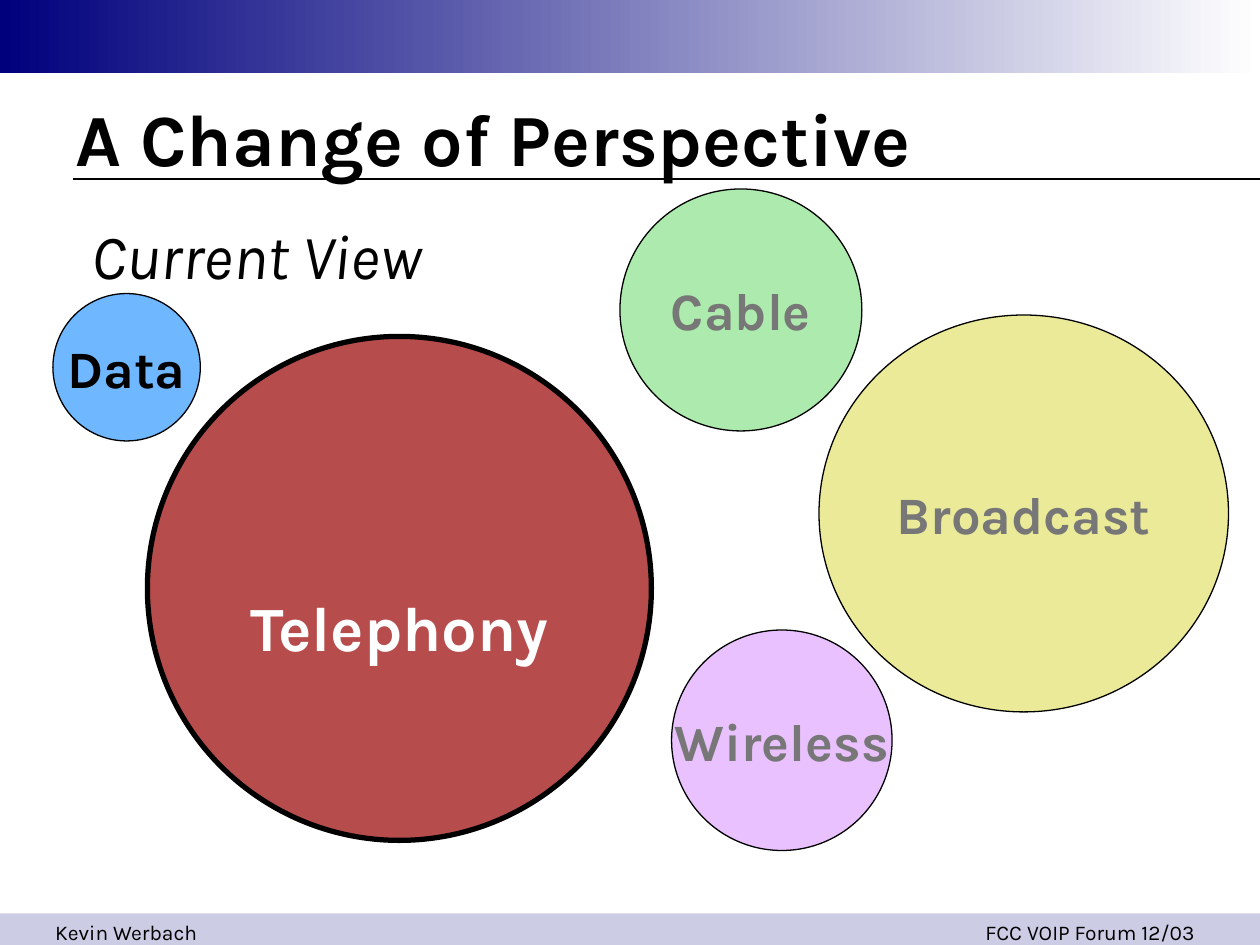
import pptx
import pptx.util
import pptx.dml.color
import pptx.enum.shapes
import pptx.enum.text
import pptx.oxml
import pptx.oxml.ns
import lxml.etree

Inches = pptx.util.Inches
Pt = pptx.util.Pt
SHAPE = pptx.enum.shapes.MSO_SHAPE
ALIGN = pptx.enum.text.PP_ALIGN
ANCHOR = pptx.enum.text.MSO_ANCHOR
qn = pptx.oxml.ns.qn

FONT = "Karla"
NAVY, BLACK, WHITE, GRAY = "00007D", "000000", "FFFFFF", "777777"


def rgb(color):
    return pptx.dml.color.RGBColor.from_string(color)


def add_run(p, text, size, color=BLACK, bold=False, italic=False):
    r = p.add_run()
    r.text = text
    r.font.name = FONT
    r.font.size = Pt(size)
    r.font.bold = bold
    r.font.italic = italic
    r.font.color.rgb = rgb(color)


def fill_solid(sp, color, opacity):
    """Fill a shape with a colour at an opacity in percent."""
    sp.fill.solid()
    sp.fill.fore_color.rgb = rgb(color)
    clr = sp.fill._xPr.find(".//" + qn("a:srgbClr"))
    lxml.etree.SubElement(clr, qn("a:alpha"), val=str(opacity * 1000))


def add_band(s, box):
    sp = s.shapes.add_shape(SHAPE.RECTANGLE, *map(Inches, box))
    sp.shadow.inherit = False
    sp.line.fill.background()
    return sp


def add_label(s, box, text, size, align, wrap=False, italic=False):
    tf = s.shapes.add_textbox(*map(Inches, box)).text_frame
    tf.word_wrap = wrap
    p = tf.paragraphs[0]
    p.alignment = align
    add_run(p, text, size, italic=italic)


def add_header(s, box):
    """Gradient band across the top."""
    sp = add_band(s, box)
    sp.fill.gradient()
    sp.fill.gradient_angle = 0
    for stop, color in zip(sp.fill.gradient_stops, (NAVY, WHITE)):
        stop.color.rgb = rgb(color)


def add_footer(s, box):
    """Pale band with the speaker on the left and the event on the right."""
    left, top, width, height = box
    fill_solid(add_band(s, box), NAVY, 20)
    add_label(s, (left + width - 3.17, top, 2.75, 0.3),
              "FCC VOIP Forum 12/03", 12, ALIGN.RIGHT, wrap=True)
    add_label(s, (left + 0.34, top, 1.37, 0.3),
              "Kevin Werbach", 12, ALIGN.LEFT)


def add_title(s, box, text):
    """Title with a rule running to the right edge of the slide."""
    left, top, width, height = box
    sp = s.shapes.title
    sp.left, sp.top, sp.width, sp.height = map(Inches, box)
    tf = sp.text_frame
    tf.word_wrap = True
    tf.auto_size = pptx.enum.text.MSO_AUTO_SIZE.NONE
    tf.vertical_anchor = ANCHOR.MIDDLE
    p = tf.paragraphs[0]
    p.alignment = ALIGN.LEFT
    add_run(p, text, 42, bold=True)

    y = Inches(top + 0.75)
    rule = s.shapes.add_connector(pptx.enum.shapes.MSO_CONNECTOR.STRAIGHT,
                                  Inches(left + 0.08), y, Inches(10), y)
    rule.line.color.rgb = rgb(BLACK)
    rule.line.width = Pt(0.75)
    lxml.etree.SubElement(rule._element.spPr, qn("a:effectLst"))


def add_circle(s, box, text, fill, opacity, color=GRAY, size=30,
               line=0.75, lowered=False):
    """Industry circle; a lowered label sits one line below the middle."""
    sp = s.shapes.add_shape(SHAPE.OVAL, *map(Inches, box))
    sp.shadow.inherit = False
    fill_solid(sp, fill, opacity)
    sp.line.color.rgb = rgb(BLACK)
    sp.line.width = Pt(line)
    tf = sp.text_frame
    tf.word_wrap = False
    tf.vertical_anchor = ANCHOR.MIDDLE
    p = tf.paragraphs[0]
    p.alignment = ALIGN.CENTER
    if lowered:
        p.add_line_break()
        br = p._p.find(qn("a:br"))
        rpr = lxml.etree.SubElement(br, qn("a:rPr"), sz=str(size * 100))
        lxml.etree.SubElement(rpr, qn("a:latin"), typeface="Arial")
    add_run(p, text, size, color, bold=True)


def main():
    prs = pptx.Presentation()
    prs.slide_width, prs.slide_height = Inches(10), Inches(7.5)
    s = prs.slides.add_slide(prs.slide_layouts[5])

    # Frame of the slide
    add_header(s, (0, 0, 10, 0.58))
    add_footer(s, (0, 7.25, 10, 0.33))
    add_title(s, (0.5, 0.67, 9, 0.83), "A Change of Perspective")

    # Industries, sized by weight
    add_circle(s, (1.17, 2.67, 4, 4), "Telephony", "990000", 70,
               WHITE, size=36, line=3, lowered=True)
    add_circle(s, (0.42, 2.33, 1.17, 1.17), "Data", "3399FF", 70, BLACK)
    add_label(s, (0.52, 1.67, 3.03, 0.7), "Current View", 36,
              ALIGN.CENTER, italic=True)
    add_circle(s, (4.92, 1.5, 1.92, 1.92), "Cable", "33CC33", 40)
    add_circle(s, (6.5, 2.5, 3.25, 3.15), "Broadcast", "CCCC00", 40)
    add_circle(s, (5.33, 5, 1.75, 1.75), "Wireless", "CC66FF", 40)

    prs.save("out.pptx")


if __name__ == "__main__":
    main()
